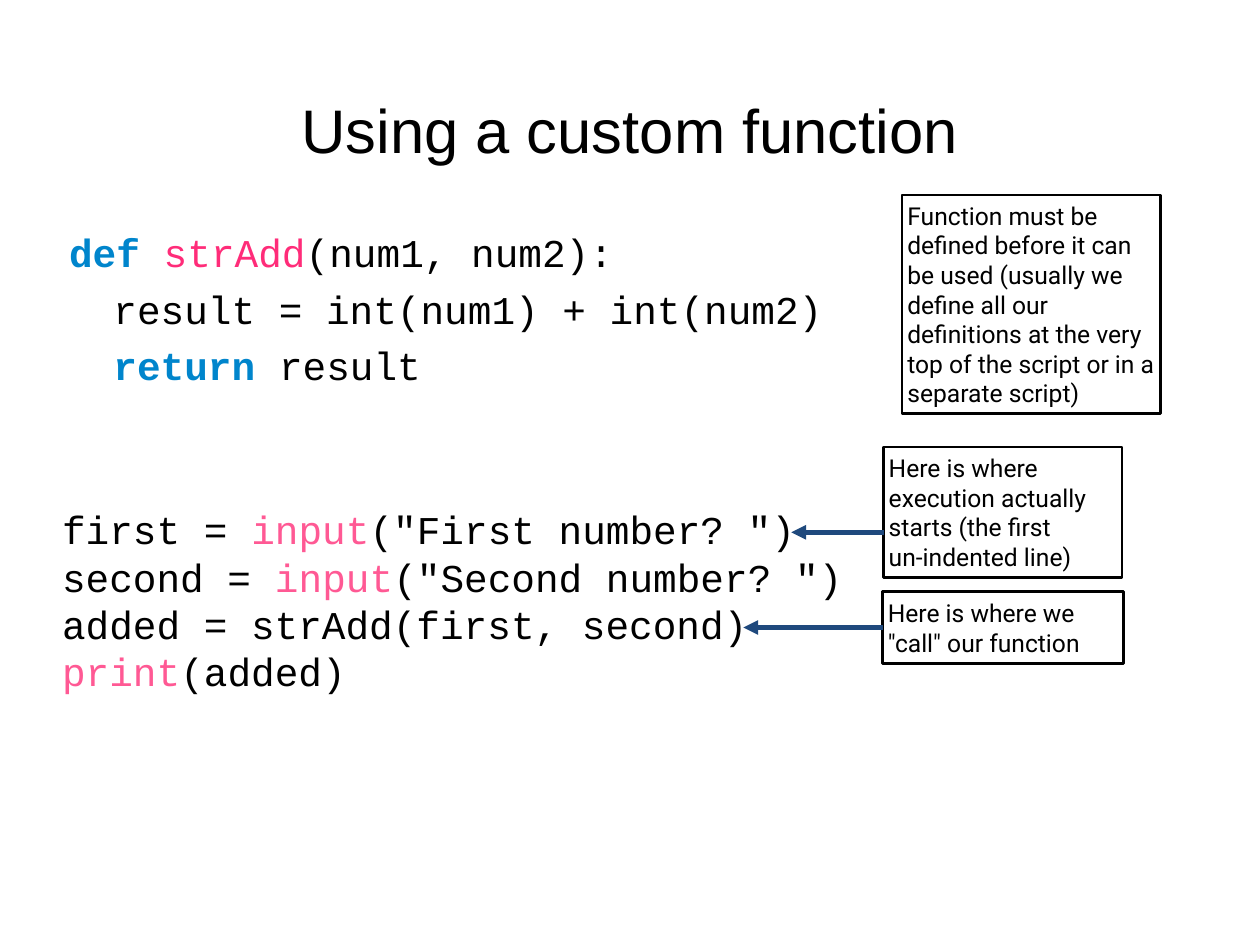
from pptx import Presentation
from pptx import util as u
from pptx.dml.color import RGBColor
from pptx.enum import shapes, text
from pptx.oxml import ns
from lxml import etree

BLACK = RGBColor(0x00, 0x00, 0x00)
KEYWORD_BLUE = RGBColor(0x00, 0x85, 0xCC)
NAME_PINK = RGBColor(0xFF, 0x2C, 0x79)
BUILTIN_PINK = RGBColor(0xFF, 0x59, 0x94)
ARROW_BLUE = RGBColor(0x1F, 0x49, 0x7D)

TITLE_FONT = {"name": "Arial", "size": u.Pt(50)}
CODE_FONT = {"name": "Courier New", "size": u.Pt(32)}
NOTE_FONT = {"name": "Roboto", "size": u.Pt(20)}
INSET = u.Inches(0.06)
FRAME = {
    "margin_left": INSET,
    "margin_right": INSET,
    "margin_top": INSET,
    "margin_bottom": INSET,
    "vertical_anchor": text.MSO_ANCHOR.MIDDLE,
    "word_wrap": True,
}

DEFINITION = [
    [("def ", KEYWORD_BLUE, True), ("strAdd", NAME_PINK, False), ("(num1, num2):", BLACK, False)],
    [("\tresult = int(num1) + int(num2)", BLACK, False)],
    [("\t", BLACK, False), ("return", KEYWORD_BLUE, True), (" result", BLACK, False)],
]
MAIN_PROGRAM = [
    [("first = ", BLACK, False), ("input", BUILTIN_PINK, False), ('("First number? ")', BLACK, False)],
    [("second = ", BLACK, False), ("input", BUILTIN_PINK, False), ('("Second number? ")', BLACK, False)],
    [("added = strAdd(first, second)", BLACK, False)],
    [("print", BUILTIN_PINK, False), ("(added)", BLACK, False)],
]


def apply_format(target, values):
    for name, value in values.items():
        setattr(target, name, value)


def inches(*lengths):
    return [u.Inches(length) for length in lengths]


def add_span(para, words, font, color, bold=False):
    span = para.add_run()
    span.text = words
    apply_format(span.font, {**font, "bold": bold})
    span.font.color.rgb = color


def fill_frame(frame, lines, font, para_format, left_indent=0):
    apply_format(frame, FRAME)
    for index, line in enumerate(lines):
        para = frame.add_paragraph() if index else frame.paragraphs[0]
        properties = para._p.get_or_add_pPr()
        properties.set("marL", str(u.Inches(left_indent)))
        properties.set("indent", "0")
        apply_format(para, para_format)
        for words, color, bold in line:
            add_span(para, words, font, color, bold)


def set_title(page, words):
    title = page.shapes.title
    left, top, width, height = inches(1.04, 0.28, 12.14, 2.36)
    apply_format(title, {"left": left, "top": top, "width": width, "height": height})
    fill_frame(title.text_frame, [[(words, BLACK, False)]], TITLE_FONT,
               {"alignment": text.PP_ALIGN.CENTER})


def add_code(page, place, lines, line_spacing):
    box = page.shapes.add_textbox(*inches(*place))
    fill_frame(box.text_frame, lines, CODE_FONT, {"line_spacing": line_spacing}, 0.5)


def add_note(page, place, *paragraphs):
    box = page.shapes.add_shape(shapes.MSO_SHAPE.RECTANGLE, *inches(*place))
    box.shadow.inherit = False
    box.fill.background()
    box.line.color.rgb = BLACK
    box.line.width = u.Pt(2)
    lines = [[(words, BLACK, False)] for words in paragraphs]
    fill_frame(box.text_frame, lines, NOTE_FONT, {"alignment": text.PP_ALIGN.LEFT})
    return box


def add_arrow(page, start, end, y):
    arrow = page.shapes.add_connector(shapes.MSO_CONNECTOR.STRAIGHT, *inches(start, y, end, y))
    arrow.line.color.rgb = ARROW_BLUE
    arrow.line.width = u.Pt(4)
    etree.SubElement(arrow.line._get_or_add_ln(), ns.qn("a:tailEnd"), type="triangle")
    etree.SubElement(arrow._element.spPr, ns.qn("a:effectLst"))
    return arrow


def main():
    deck = Presentation()
    deck.slide_width, deck.slide_height = inches(14.22, 10.67)
    page = deck.slides.add_slide(deck.slide_layouts[5])
    set_title(page, "Using a custom function")
    add_code(page, (0.22, 2.5, 9.39, 1.86), DEFINITION, 1.2)
    add_note(page, (10.18, 2.2, 2.92, 2.47),
             "Function must be defined before it can be used (usually we define all our "
             "definitions at the very top of the script or in a separate script)")
    add_note(page, (9.97, 5.05, 2.69, 1.47),
             "Here is where execution actually starts (the first", "un-indented line)")
    add_arrow(page, 9.98, 8.93, 6.01)
    add_code(page, (0.14, 5.69, 9.69, 2.17), MAIN_PROGRAM, 1.0)
    call_note = add_note(page, (9.96, 6.68, 2.72, 0.81), 'Here is where we "call" our function')
    call_arrow = add_arrow(page, 9.96, 8.39, 7.08)
    call_arrow.begin_connect(call_note, 1)
    call_arrow.end_y = call_arrow.begin_y
    deck.save("out.pptx")


if __name__ == "__main__":
    main()
